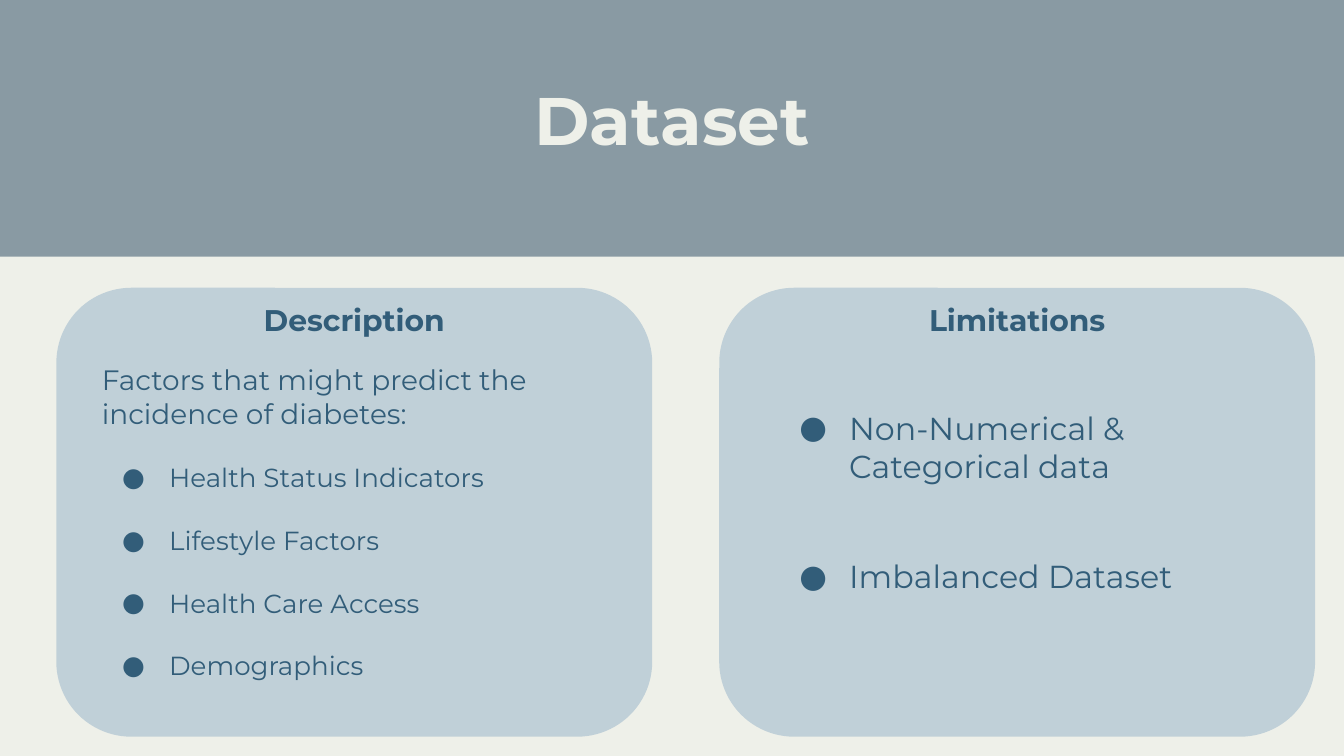
from lxml.etree import SubElement
from pptx import Presentation
from pptx.dml.color import RGBColor
from pptx.enum.shapes import MSO_SHAPE
from pptx.enum.text import MSO_ANCHOR, PP_ALIGN
from pptx.oxml.ns import qn
from pptx.util import Pt

# Content
TITLE = "Dataset"
INTRO = "Factors that might predict the incidence of diabetes:"
CARDS = [
    {
        "heading": "Description",
        "body": (47.5, 187.2, 284.4, 170),
        "intro": INTRO,
        "items": ["Health Status Indicators", "Lifestyle Factors",
                  "Health Care Access", "Demographics"],
        "format": {"size": 14, "hanging": 25.2, "gap": 16.8},
    },
    {
        "heading": "Limitations",
        "body": (411.8, 211.7, 266.4, 182.9),
        "intro": None,
        "items": ["Non-Numerical & Categorical data", "Imbalanced Dataset"],
        "format": {"size": 17, "hanging": 26.6, "gap": 38.6},
    },
]

# Style and layout, in points
FONT = "Montserrat"
SLATE, CREAM, PALE_BLUE, NAVY = "899AA3", "EEF0E9", "C0D0D8", "325D79"
SLIDE_WIDTH, SLIDE_HEIGHT = 720, 405
BAND_TOP = 137.5
CARD_LEFT, CARD_TOP, CARD_WIDTH, CARD_HEIGHT = 30.2, 154.2, 319.2, 240.5
CARD_STEP = 355.1
HEADING_HEIGHT = 40.3
INSET = 7.2
BULLET_INDENT = 36


def color(value):
    return RGBColor.from_string(value)


def add_block(kind, left, top, width, height, fill):
    shape = slide.shapes.add_shape(kind, Pt(left), Pt(top), Pt(width), Pt(height))
    shape.shadow.inherit = False
    shape.fill.solid()
    shape.fill.fore_color.rgb = color(fill)
    shape.line.fill.background()
    return shape


def add_frame(left, top, width, height):
    box = slide.shapes.add_textbox(Pt(left), Pt(top), Pt(width), Pt(height))
    frame = box.text_frame
    frame.word_wrap = True
    frame.vertical_anchor = MSO_ANCHOR.TOP
    frame.margin_left = frame.margin_right = Pt(INSET)
    frame.margin_top = frame.margin_bottom = Pt(INSET)
    return frame


def add_bullet(paragraph, hanging):
    properties = paragraph._p.get_or_add_pPr()
    properties.set("marL", str(Pt(BULLET_INDENT)))
    properties.set("indent", str(-Pt(hanging)))
    bullet_color = SubElement(properties, qn("a:buClr"))
    SubElement(bullet_color, qn("a:srgbClr"), val=NAVY)
    SubElement(properties, qn("a:buFont"), typeface=FONT)
    SubElement(properties, qn("a:buChar"), char="●")


def write(frame, text, size, fill=NAVY, bold=False, align=PP_ALIGN.LEFT,
          gap=0, hanging=None):
    """Fill the first paragraph if it is empty, otherwise add one after a gap."""
    paragraph = frame.paragraphs[0]
    if paragraph.runs:
        paragraph = frame.add_paragraph()
        paragraph.space_before = Pt(gap)
    paragraph.alignment = align
    if hanging:
        add_bullet(paragraph, hanging)
    run = paragraph.add_run()
    run.text = text
    run.font.name = FONT
    run.font.size = Pt(size)
    run.font.bold = bold
    run.font.color.rgb = color(fill)


presentation = Presentation()
presentation.slide_width = Pt(SLIDE_WIDTH)
presentation.slide_height = Pt(SLIDE_HEIGHT)
slide = presentation.slides.add_slide(presentation.slide_layouts[6])

# Background, lower band and title
slide.background.fill.solid()
slide.background.fill.fore_color.rgb = color(SLATE)
add_block(MSO_SHAPE.RECTANGLE, 0, BAND_TOP, SLIDE_WIDTH,
          SLIDE_HEIGHT - BAND_TOP, CREAM)
write(add_frame(56.7, 35, 606.6, 45), TITLE, size=36, fill=CREAM, bold=True,
      align=PP_ALIGN.CENTER)

# Cards with heading, optional introduction and bullets
for index, card in enumerate(CARDS):
    left = CARD_LEFT + index * CARD_STEP
    block = add_block(MSO_SHAPE.ROUNDED_RECTANGLE, left, CARD_TOP, CARD_WIDTH,
                      CARD_HEIGHT, PALE_BLUE)
    block.adjustments[0] = 0.167
    write(add_frame(left, CARD_TOP, CARD_WIDTH, HEADING_HEIGHT),
          card["heading"], size=16, bold=True, align=PP_ALIGN.CENTER)
    body = add_frame(*card["body"])
    if card["intro"]:
        write(body, card["intro"], size=15)
    for item in card["items"]:
        write(body, item, **card["format"])

presentation.save("out.pptx")
